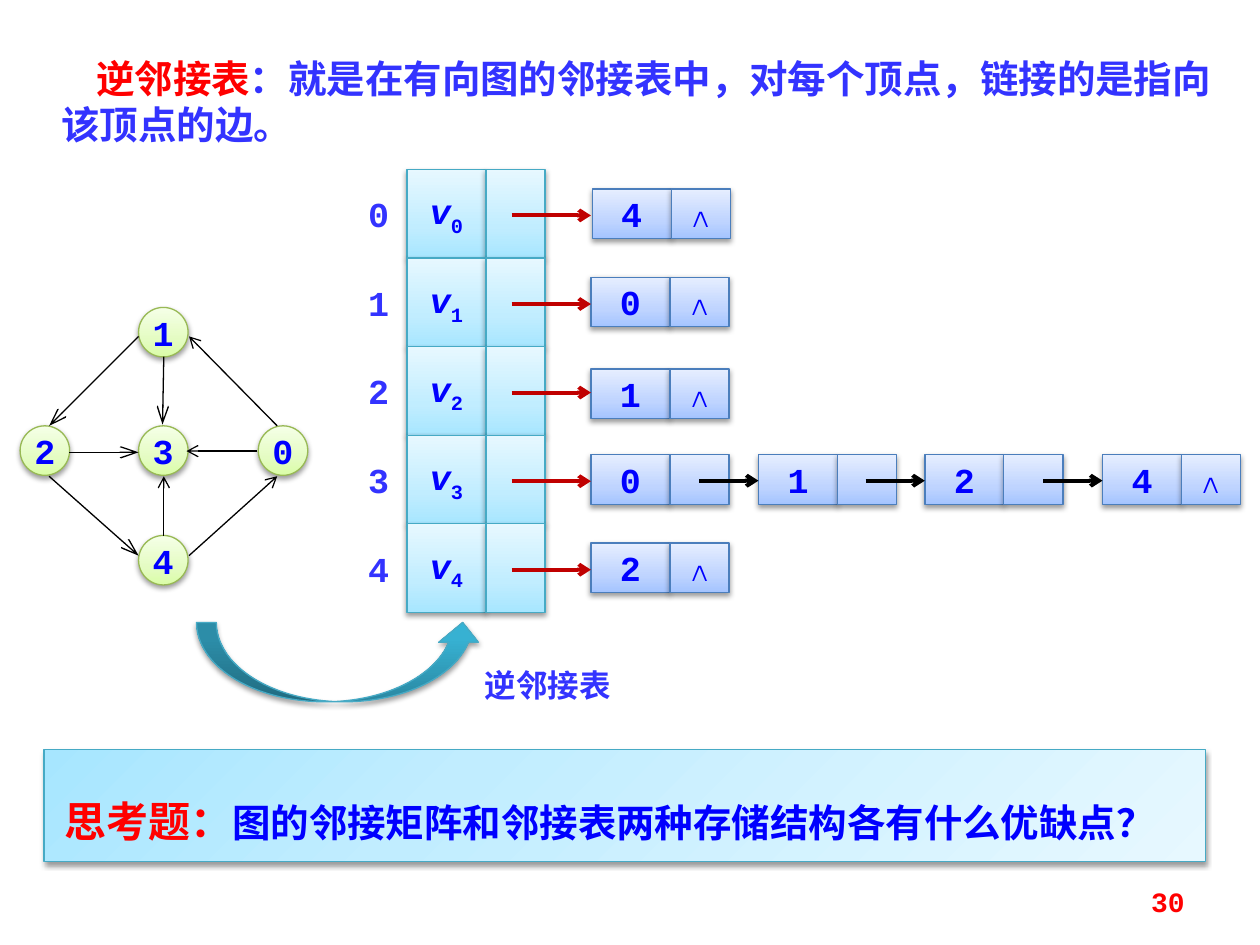
import pptx
import pptx.dml.color
import pptx.enum.shapes
import pptx.enum.text
import pptx.oxml
import pptx.oxml.ns
import pptx.util
from lxml import etree

RGB = pptx.dml.color.RGBColor
SHAPE = pptx.enum.shapes.MSO_SHAPE
ANCHOR = pptx.enum.text.MSO_ANCHOR
ALIGN = pptx.enum.text.PP_ALIGN

RED = RGB(0xFF, 0x00, 0x00)
DARK_RED = RGB(0xC0, 0x00, 0x00)
BLUE = RGB(0x00, 0x00, 0xFF)
INDIGO = RGB(0x33, 0x33, 0xFF)
BLACK = RGB(0x00, 0x00, 0x00)

# Each look: outline, then gradient stops as (percent, colour)
GREEN_LOOK = (RGB(0x98, 0xB9, 0x55), ((0, RGB(0xDA, 0xFD, 0xA7)),
              (35, RGB(0xE4, 0xFC, 0xC2)), (100, RGB(0xF5, 0xFF, 0xE7))))
BLUE_LOOK = (RGB(0x4B, 0x7E, 0xBC), ((0, RGB(0xA4, 0xC4, 0xFF)),
             (35, RGB(0xBF, 0xD4, 0xFF)), (100, RGB(0xE6, 0xEE, 0xFF))))
CYAN_LOOK = (RGB(0x46, 0xAA, 0xC5), ((0, RGB(0xA7, 0xE6, 0xFF)),
             (35, RGB(0xC1, 0xED, 0xFF)), (100, RGB(0xE7, 0xF8, 0xFF))))
TEAL_LOOK = (RGB(0x46, 0xAA, 0xC5), ((0, RGB(0x2A, 0x88, 0xA2)),
             (80, RGB(0x37, 0xB1, 0xD2)), (100, RGB(0x34, 0xB4, 0xD6))))

MONO, CJK, SERIF = "Courier New", "Noto Sans CJK SC", "Times New Roman"

# The slide is a grid of 100 columns by 75 rows
COLUMNS, ROWS = 100, 75
NODE = 3.93                       # side of a graph node, height of a list node
DATA_WIDTH, LINK_WIDTH = 6.27, 4.7
HEAD_LEFT, HEAD_TOP, HEAD_ROW = 32.3, 13.45, 7.03
LIST_LEFT = 46.9
END = "∧"

GRAPH_NODES = {"1": (11, 24.4), "3": (11, 33.8), "2": (1.6, 33.8),
               "0": (20.5, 33.8), "4": (11, 42.5)}
# Edges: start, end, arrowhead length
GRAPH_EDGES = [
    ((11, 26.7), (3.9, 33.8), "lg"), ((22, 33.8), (15, 26.7), "med"),
    ((5.5, 35.9), (11, 35.9), "lg"), ((20.4, 35.8), (14.8, 35.8), "med"),
    ((13, 28.3), (12.9, 33.7), "lg"), ((3.9, 37.8), (11, 44.1), "lg"),
    ((13, 42.5), (13, 37.8), "med"), ((15, 44.1), (22, 37.8), "med")]
# Inverse adjacency lists: top row, then (left column, vertex) per list node
LISTS = [
    (15, [(47, "4")]), (22, [(LIST_LEFT, "0")]), (29.3, [(LIST_LEFT, "1")]),
    (36.1, [(LIST_LEFT, "0"), (60.2, "1"), (73.4, "2"), (87.5, "4")]),
    (43.1, [(LIST_LEFT, "2")])]


def cells(count):
    return pptx.util.Inches(count / 10)


def add_span(para, text, size, color, face=MONO, bold=True, east_asian=False):
    span = para.add_run()
    span.text = text
    span.font.size = pptx.util.Pt(size)
    span.font.name = face
    span.font.bold = bold
    span.font.color.rgb = color
    if east_asian:
        latin = span.font._element.find(pptx.oxml.ns.qn("a:latin"))
        asian = pptx.oxml.parse_xml(
            f'<a:ea {pptx.oxml.ns.nsdecls("a")} typeface="{CJK}"/>')
        latin.addnext(asian)
    return span


def add_shape(page, kind, area, look, angle=90):
    """Add a preset shape with a three-stop gradient and a soft shadow."""
    shape = page.shapes.add_shape(kind, *map(cells, area))
    outline, stops = look
    shape.line.color.rgb = outline
    shape.line.width = pptx.util.Pt(0.75)
    shape.fill.gradient()
    shape.fill.gradient_angle = angle
    properties = shape._element.spPr
    stop_list = properties.find(".//" + pptx.oxml.ns.qn("a:gsLst"))
    names = pptx.oxml.ns.nsdecls("a")
    for old in list(stop_list):
        stop_list.remove(old)
    for percent, color in stops:
        stop_list.append(pptx.oxml.parse_xml(
            f'<a:gs {names} pos="{percent * 1000}"><a:srgbClr val="{color}"/></a:gs>'))
    shape.shadow.inherit = False
    properties.find(pptx.oxml.ns.qn("a:effectLst")).append(pptx.oxml.parse_xml(
        f'<a:outerShdw {names} blurRad="39400" dist="20300" dir="5400000" '
        'rotWithShape="0"><a:srgbClr val="000000"><a:alpha val="38000"/>'
        '</a:srgbClr></a:outerShdw>'))
    return shape


def add_cell(page, kind, area, look, text="", subscript=""):
    """Add a shape holding one centred symbol, perhaps with a subscript."""
    shape = add_shape(page, kind, area, look)
    if not text:
        return
    frame = shape.text_frame
    frame.word_wrap = False
    frame.vertical_anchor = ANCHOR.MIDDLE
    para = frame.paragraphs[0]
    para.alignment = ALIGN.CENTER
    span = add_span(para, text, 20, BLUE)
    if subscript:
        span.font.italic = True
        lower = add_span(para, subscript, 20, BLUE)
        lower.font._element.set("baseline", "-25000")


def add_arrow(page, start, end, color, width, length="med"):
    line = page.shapes.add_connector(pptx.enum.shapes.MSO_CONNECTOR.STRAIGHT,
                                     *map(cells, start + end))
    line.line.color.rgb = color
    line.line.width = pptx.util.Pt(width)
    tip = etree.SubElement(line.line._get_or_add_ln(), pptx.oxml.ns.qn("a:tailEnd"))
    tip.set("type", "arrow")
    tip.set("len", length)
    etree.SubElement(line._element.spPr, pptx.oxml.ns.qn("a:effectLst"))


def set_margins(frame, left, top, right, bottom):
    frame.margin_left, frame.margin_top = cells(left), cells(top)
    frame.margin_right, frame.margin_bottom = cells(right), cells(bottom)


def add_text(page, area, align=ALIGN.LEFT):
    box = page.shapes.add_textbox(*map(cells, area))
    box.text_frame.word_wrap = True
    para = box.text_frame.paragraphs[0]
    para.alignment = align
    return box.text_frame, para


def add_graph(page):
    for vertex, corner in GRAPH_NODES.items():
        add_cell(page, SHAPE.OVAL, (*corner, NODE, NODE), GREEN_LOOK, vertex)
    for start, end, length in GRAPH_EDGES:
        add_arrow(page, start, end, BLACK, 0.75, length)


def add_list(page, top, nodes):
    for number, (left, vertex) in enumerate(nodes):
        last = number == len(nodes) - 1
        add_cell(page, SHAPE.RECTANGLE, (left, top, DATA_WIDTH, NODE), BLUE_LOOK, vertex)
        add_cell(page, SHAPE.RECTANGLE, (left + DATA_WIDTH, top, LINK_WIDTH, NODE),
                 BLUE_LOOK, END if last else "")
    for left, _ in nodes[1:]:
        add_arrow(page, (left - 4.7, top + 2.05), (left, top + 2.05), BLACK, 2.25)


def add_head_row(page, index):
    top = HEAD_TOP + index * HEAD_ROW
    add_cell(page, SHAPE.RECTANGLE, (HEAD_LEFT, top, DATA_WIDTH, HEAD_ROW),
             CYAN_LOOK, "v", str(index))
    add_cell(page, SHAPE.RECTANGLE,
             (HEAD_LEFT + DATA_WIDTH, top, LINK_WIDTH, HEAD_ROW), CYAN_LOOK)
    frame, para = add_text(page, (28.1, top + 1.85, NODE, 3.4), ALIGN.CENTER)
    set_margins(frame, 0, 0, 0, 0)
    add_span(para, str(index), 20, INDIGO)
    middle = top + 3.65
    add_arrow(page, (40.6, middle), (LIST_LEFT, middle), DARK_RED, 2.25)


def add_question(page):
    box = add_shape(page, SHAPE.RECTANGLE, (3.5, 59.5, 92.2, 8.9), CYAN_LOOK, 315)
    frame = box.text_frame
    frame.word_wrap = True
    frame.vertical_anchor = ANCHOR.TOP
    set_margins(frame, 1.6, 1.6, 1.6, 2)
    para = frame.paragraphs[0]
    para.alignment = ALIGN.LEFT
    para.line_spacing = 1.5
    add_span(para, "思考题：", 24, RED, CJK, east_asian=True)
    add_span(para, "图的邻接矩阵和邻接表两种存储结构各有什么优缺点？", 22, BLUE,
             SERIF, east_asian=True)


def main():
    deck = pptx.Presentation()
    deck.slide_width, deck.slide_height = cells(COLUMNS), cells(ROWS)
    page = deck.slides.add_slide(deck.slide_layouts[6])

    add_graph(page)

    # Definition, with an indented first line
    _, para = add_text(page, (3.9, 3.9, 93.8, 8.4))
    para._p.get_or_add_pPr().set("indent", str(cells(2.75)))
    add_span(para, "逆邻接表", 22, RED, CJK, east_asian=True)
    add_span(para, "：就是在有向图的邻接表中，对每个顶点，链接的是指向该顶点的边。",
             22, INDIGO, CJK, east_asian=True)

    # Linked lists and the head array pointing at them
    for top, nodes in LISTS:
        add_list(page, top, nodes)
    for index in range(len(LISTS)):
        add_head_row(page, index)

    # Curved arrow from graph to lists, with its label
    add_shape(page, SHAPE.CURVED_UP_ARROW, (15.6, 49.4, 22.7, 6.3), TEAL_LOOK)
    _, para = add_text(page, (37.5, 52.4, 14.8, 4))
    add_span(para, "逆邻接表", 18, INDIGO, east_asian=True)

    add_question(page)

    # Page number
    frame, para = add_text(page, (71.7, 69.5, 23.3, 4), ALIGN.RIGHT)
    frame.vertical_anchor = ANCHOR.MIDDLE
    add_span(para, "30", 16, RED)

    deck.save("out.pptx")


if __name__ == "__main__":
    main()
